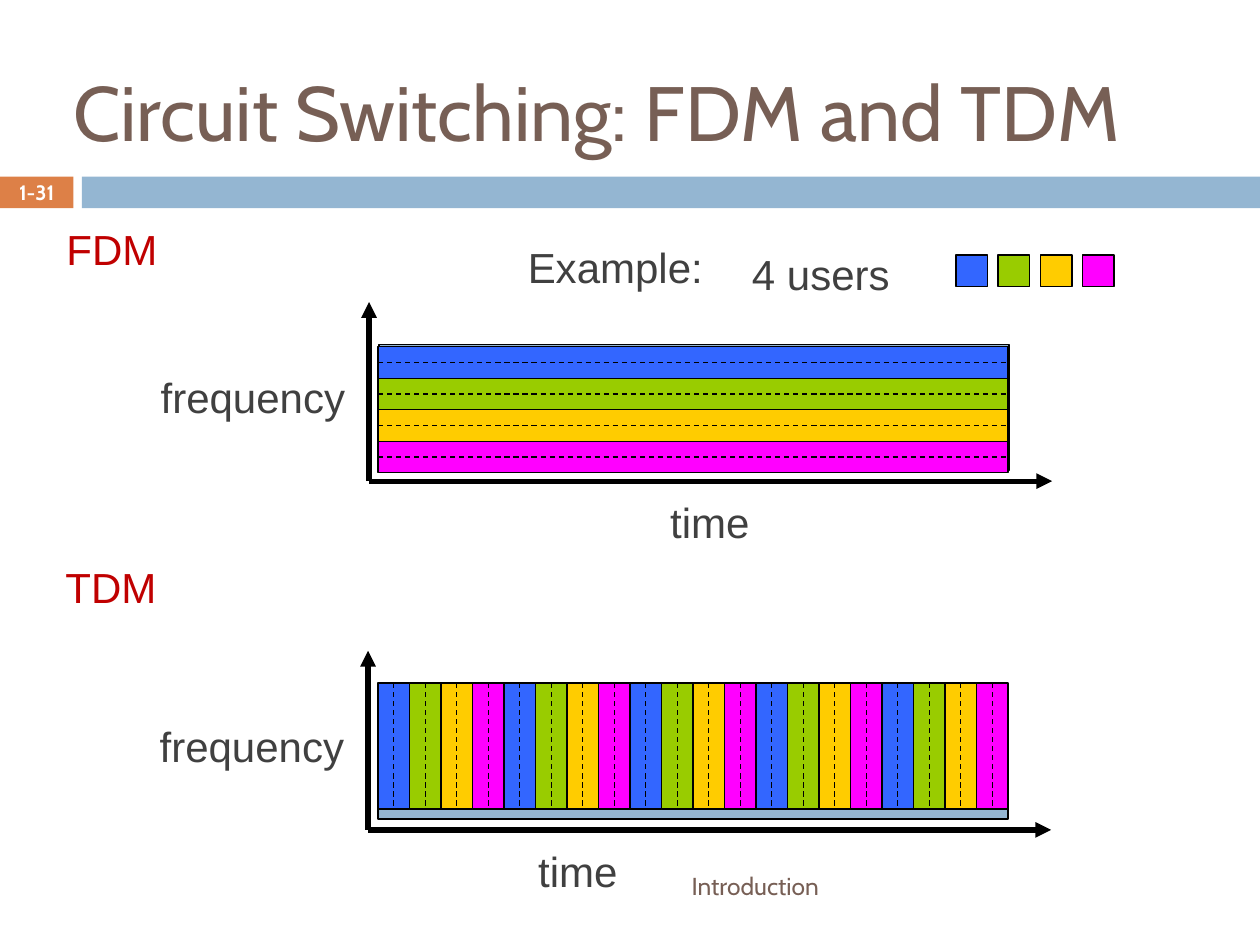
from lxml.etree import SubElement
from pptx import Presentation
from pptx.dml.color import RGBColor
from pptx.enum.dml import MSO_LINE
from pptx.enum.shapes import MSO_CONNECTOR as CONN, MSO_SHAPE as SHAPE
from pptx.enum.text import MSO_ANCHOR as ANCHOR, MSO_AUTO_SIZE as AUTO, PP_ALIGN as ALIGN
from pptx.oxml.ns import qn
from pptx.util import Cm, Pt

BLACK = RGBColor(0x00, 0x00, 0x00)
WHITE = RGBColor(0xFF, 0xFF, 0xFF)
BROWN = RGBColor(0x77, 0x5F, 0x55)
ORANGE = RGBColor(0xDD, 0x80, 0x47)
STEEL = RGBColor(0x94, 0xB6, 0xD2)
RED = RGBColor(0xC0, 0x00, 0x00)
GREY = RGBColor(0x40, 0x40, 0x40)
USERS = [
    RGBColor(0x33, 0x66, 0xFF),
    RGBColor(0x99, 0xCC, 0x00),
    RGBColor(0xFF, 0xCC, 0x00),
    RGBColor(0xFF, 0x00, 0xFF),
]
TDM_FRAMES = 5


def add_rect(s, x, y, w, h, color, outlined=True):
    sp = s.shapes.add_shape(SHAPE.RECTANGLE, Cm(x), Cm(y), Cm(w), Cm(h))
    sp.shadow.inherit = False
    sp.fill.solid()
    sp.fill.fore_color.rgb = color
    if outlined:
        sp.line.color.rgb = BLACK
        sp.line.width = Pt(0.75)
    else:
        sp.line.fill.background()
    return sp


def add_line(s, x1, y1, x2, y2, width=0.75, dashed=False, arrow=False):
    line = s.shapes.add_connector(CONN.STRAIGHT, Cm(x1), Cm(y1), Cm(x2), Cm(y2))
    line.line.color.rgb = BLACK
    line.line.width = Pt(width)
    if dashed:
        line.line.dash_style = MSO_LINE.DASH
    if arrow:
        SubElement(line.line._get_or_add_ln(), qn("a:tailEnd"), type="triangle")
    SubElement(line._element.spPr, qn("a:effectLst"))
    return line


def style(p, font, size, color, bold=False, align=ALIGN.LEFT):
    p.alignment = align
    p.font.name = font
    p.font.size = Pt(size)
    p.font.bold = bold
    p.font.color.rgb = color


def add_label(s, text, x, y, w, color=GREY):
    tf = s.shapes.add_textbox(Cm(x), Cm(y), Cm(w), Cm(1.27)).text_frame
    tf.word_wrap = False
    tf.auto_size = AUTO.SHAPE_TO_FIT_TEXT
    tf.text = text
    style(tf.paragraphs[0], "Arial", 24, color)


def add_caption(s, text, x, y, w, h, size, color, align, bold=False):
    tf = s.shapes.add_textbox(Cm(x), Cm(y), Cm(w), Cm(h)).text_frame
    tf.word_wrap = True
    tf.vertical_anchor = ANCHOR.MIDDLE
    tf.text = text
    style(tf.paragraphs[0], "Cabin", size, color, bold, align)


def build_frame(s):
    # Band below the title, with the slide number
    add_rect(s, 0, 3.56, 1.48, 0.64, ORANGE, outlined=False)
    add_rect(s, 1.65, 3.56, 23.75, 0.64, STEEL, outlined=False)
    add_caption(s, "1-31", 0, 3.53, 1.48, 0.69, 11.9, WHITE, ALIGN.CENTER, bold=True)
    # Title
    title = s.shapes.title
    title.left, title.top, title.width, title.height = Cm(1.22), Cm(0.64), Cm(23.52), Cm(3.18)
    tf = title.text_frame
    tf.text = "Circuit Switching: FDM and TDM"
    tf.vertical_anchor = ANCHOR.MIDDLE
    style(tf.paragraphs[0], "Cabin", 44, BROWN)
    # Footer
    add_caption(s, "Introduction", 1.7, 17.35, 15.06, 1.02, 14, BROWN, ALIGN.RIGHT)


def build_axes(s, x, y, heading, heading_dy, time_dx):
    """Heading, axes and backing of one diagram; (x, y) is the axis origin."""
    add_label(s, heading, x - 6.35, y + heading_dy, 2.34, RED)
    add_line(s, x, y, x, y - 3.61, width=3, arrow=True)
    add_line(s, x, y, x + 13.77, y, width=3, arrow=True)
    add_label(s, "frequency", x - 4.45, y - 2.34, 4.24)
    add_label(s, "time", x + time_dx, y + 0.18, 2.11)
    add_rect(s, x + 0.2, y - 2.76, 12.7, 2.54, STEEL)


def build_fdm_bands(s, x, y, w, h):
    step = h / len(USERS)
    bands = [add_rect(s, x, y + i * step, w, step, color) for i, color in enumerate(USERS)]
    for i, band in enumerate(bands):
        top = y + i * step
        if i:
            add_line(s, x, top, x + w, top)
        middle = add_line(s, x, top + step / 2, x + w, top + step / 2, dashed=True)
        middle.begin_connect(band, 1)
        middle.end_connect(band, 3)


def build_tdm_slots(s, x, y, w, h):
    colors = USERS * TDM_FRAMES
    step = w / len(colors)
    slots = [add_rect(s, x + i * step, y, step, h, color) for i, color in enumerate(colors)]
    for i, slot in enumerate(slots):
        left = x + i * step
        if i:
            add_line(s, left, y, left, y + h)
        middle = add_line(s, left + step / 2, y, left + step / 2, y + h, dashed=True)
        middle.begin_connect(slot, 0)
        middle.end_connect(slot, 2)


def build_legend(s, x, y):
    add_label(s, "Example:", x, y, 4.04)
    add_label(s, "4 users", x + 4.52, y + 0.13, 3.3)
    for i, color in enumerate(USERS):
        add_rect(s, x + 8.88 + i * 0.85, y + 0.39, 0.64, 0.64, color)


def main():
    prs = Presentation()
    prs.slide_width, prs.slide_height = Cm(25.4), Cm(19.05)
    s = prs.slides.add_slide(prs.slide_layouts[5])
    build_frame(s)
    # Frequency division
    build_axes(s, 7.44, 9.7, "FDM", -5.31, 5.82)
    build_fdm_bands(s, 7.62, 6.99, 12.7, 2.54)
    # Time division
    build_axes(s, 7.42, 16.73, "TDM", -5.54, 3.18)
    build_tdm_slots(s, 7.62, 13.77, 12.7, 2.54)
    build_legend(s, 10.39, 4.75)
    prs.save("out.pptx")


if __name__ == "__main__":
    main()
